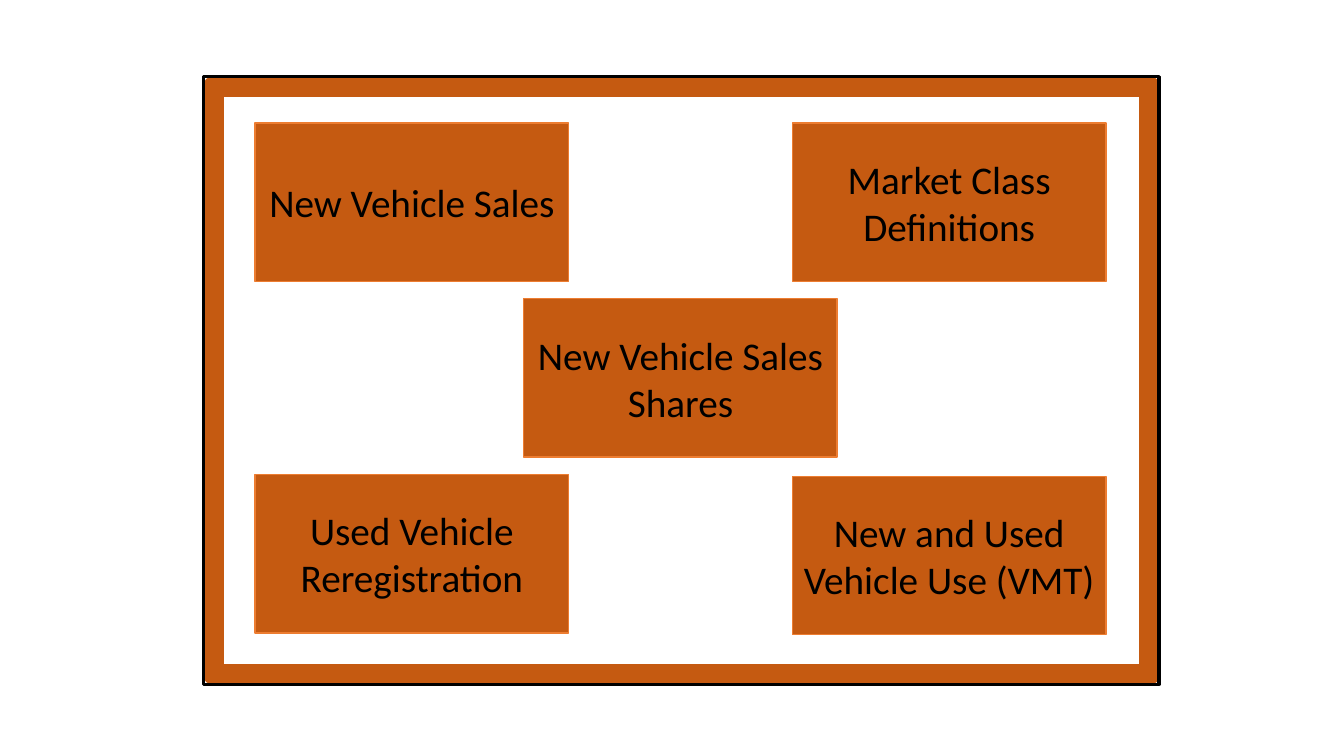
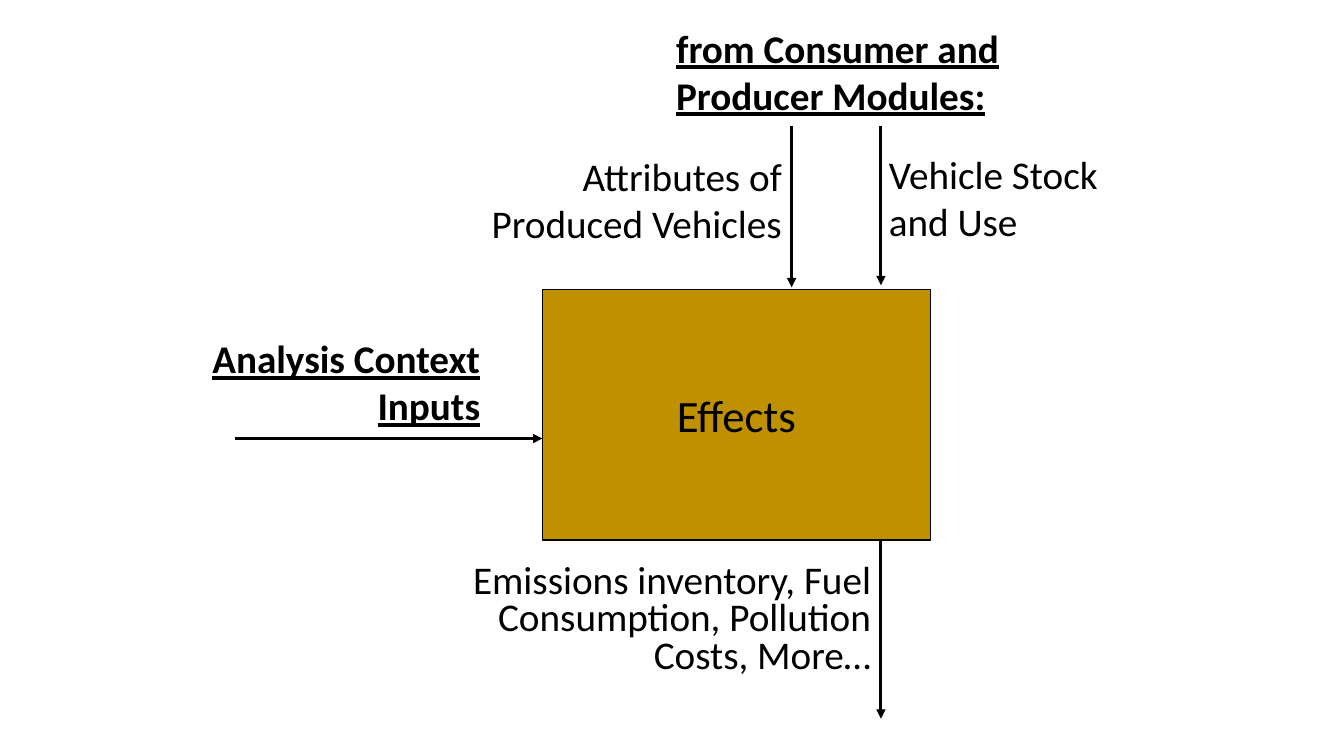
from collections import namedtuple

from lxml.etree import SubElement
from pptx import Presentation
from pptx.dml.color import RGBColor
from pptx.enum.shapes import MSO_CONNECTOR, MSO_SHAPE
from pptx.enum.text import MSO_ANCHOR, PP_ALIGN
from pptx.oxml.ns import qn
from pptx.util import Cm, Pt

FONT = "Calibri"
BLACK = "000000"
ORANGE = "C55A11"
LIGHT_ORANGE = "ED7D31"
GOLD = "BF9000"
BODY_SIZE = 28
TWO_LINES = 2.64

Box = namedtuple("Box", "left top width height")


def color(value):
    """Turn a hex string into a colour."""
    return RGBColor.from_string(value)


def write(text_frame, text, alignment, size=BODY_SIZE, heading=False):
    """Write one run into a text frame and return its paragraph."""
    text_frame.word_wrap = True
    paragraph = text_frame.paragraphs[0]
    paragraph.alignment = alignment
    run = paragraph.add_run()
    run.text = text
    run.font.name = FONT
    run.font.size = Pt(size)
    run.font.color.rgb = color(BLACK)
    if heading:
        run.font.bold = True
        run.font.underline = True
    return paragraph


def add_rectangle(slide, box, line_color, line_width, fill=None):
    """Add a rectangle, left open when it has no fill."""
    shape = slide.shapes.add_shape(MSO_SHAPE.RECTANGLE, *map(Cm, box))
    shape.shadow.inherit = False
    if fill:
        shape.fill.solid()
        shape.fill.fore_color.rgb = color(fill)
    else:
        shape.fill.background()
    shape.line.color.rgb = color(line_color)
    shape.line.width = Pt(line_width)
    return shape


def add_block(slide, box, text, fill, line_color, size=BODY_SIZE):
    """Add a filled rectangle with a centred caption."""
    shape = add_rectangle(slide, box, line_color, 1, fill)
    shape.text_frame.vertical_anchor = MSO_ANCHOR.MIDDLE
    write(shape.text_frame, text, PP_ALIGN.CENTER, size)


def add_label(slide, box, text, alignment=PP_ALIGN.LEFT, heading=False):
    """Add a text box and return its paragraph."""
    text_box = slide.shapes.add_textbox(*map(Cm, box))
    return write(text_box.text_frame, text, alignment, heading=heading)


def add_arrow(slide, start, end):
    """Add a straight arrow between two points."""
    connector = slide.shapes.add_connector(
        MSO_CONNECTOR.STRAIGHT, *map(Cm, start + end))
    connector.line.color.rgb = color(BLACK)
    connector.line.width = Pt(2.25)
    SubElement(connector.line._get_or_add_ln(), qn("a:tailEnd"), type="triangle")
    SubElement(connector._element.spPr, qn("a:effectLst"))


def draw_consumer_modules(slide, frame):
    """Draw the framed module blocks on a three by three grid."""
    modules = [
        ("Used Vehicle Reregistration", 0, 2),
        ("New and Used Vehicle Use (VMT)", 2, 2.01),
        ("New Vehicle Sales ", 0, 0),
        ("New Vehicle Sales Shares", 1, 1),
        ("Market Class Definitions", 2, 0),
    ]
    for text, column, row in modules:
        box = Box(frame.left + 1.3 + column * 6.77,
                  frame.top + 1.17 + row * 4.43, 7.9, 3.99)
        add_block(slide, box, text, ORANGE, LIGHT_ORANGE)
    inset = 0.25
    band = Box(frame.left + inset, frame.top + inset,
               frame.width - 2 * inset, frame.height - 2 * inset)
    add_rectangle(slide, band, ORANGE, 15)
    add_rectangle(slide, frame, BLACK, 2.25)


def draw_effects_flow(slide, box):
    """Draw the effects block with its inputs and outputs around it."""
    left, top = box.left, box.top
    right, bottom = left + box.width, top + box.height
    stock_x, attributes_x = right - 1.25, right - 3.5
    context_y, source_y = top + 3.76, top - 4.11

    add_block(slide, box, "Effects", GOLD, BLACK, 32)
    add_arrow(slide, (stock_x, source_y), (stock_x, top - 0.1))
    add_arrow(slide, (attributes_x, source_y), (attributes_x, top - 0.05))
    add_arrow(slide, (left - 7.75, context_y), (left, context_y))
    add_arrow(slide, (stock_x, bottom), (stock_x, bottom + 4.5))

    add_label(slide, Box(left + 3.12, top - 6.81, 11.02, TWO_LINES),
              "from Consumer and Producer Modules:", heading=True)
    add_label(slide, Box(stock_x - 0.05, top - 3.63, 6.65, TWO_LINES),
              "Vehicle Stock and Use")
    add_label(slide, Box(attributes_x - 9.42, top - 3.58, 9.42, TWO_LINES),
              "Attributes of Produced Vehicles", PP_ALIGN.RIGHT)
    add_label(slide, Box(left - 10.03, top + 1.02, 8.71, TWO_LINES),
              "Analysis Context Inputs", PP_ALIGN.RIGHT, heading=True)
    outputs = add_label(
        slide, Box(stock_x - 10.82, bottom + 0.48, 10.82, 3.15),
        "Emissions inventory, Fuel Consumption, Pollution Costs, More…",
        PP_ALIGN.RIGHT)
    outputs.line_spacing = 0.8


def main():
    """Build and save the presentation."""
    presentation = Presentation()
    presentation.slide_width = Cm(33.87)
    presentation.slide_height = Cm(19.05)
    blank = presentation.slide_layouts.get_by_name("Blank")
    draw_consumer_modules(presentation.slides.add_slide(blank),
                          Box(5.13, 1.93, 24.08, 15.32))
    draw_effects_flow(presentation.slides.add_slide(blank),
                      Box(13.67, 7.29, 9.78, 6.32))
    presentation.save("out.pptx")


main()
